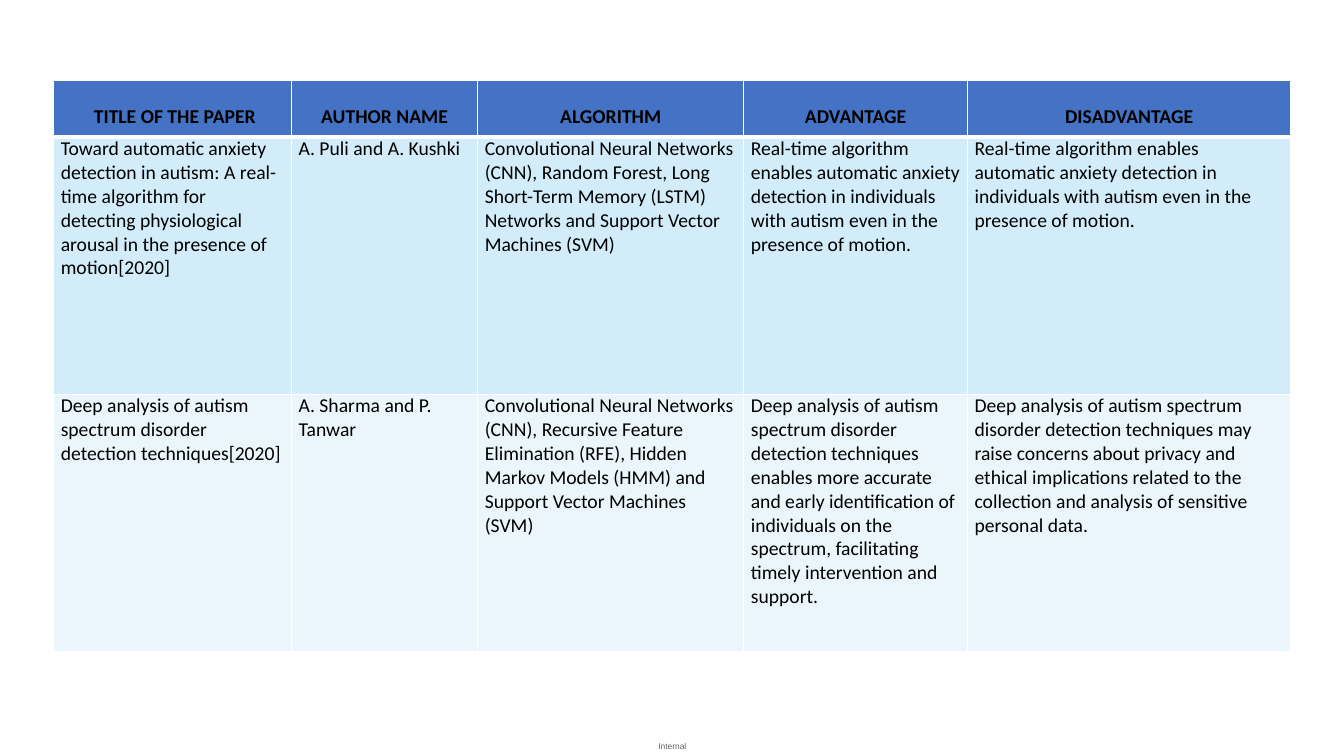
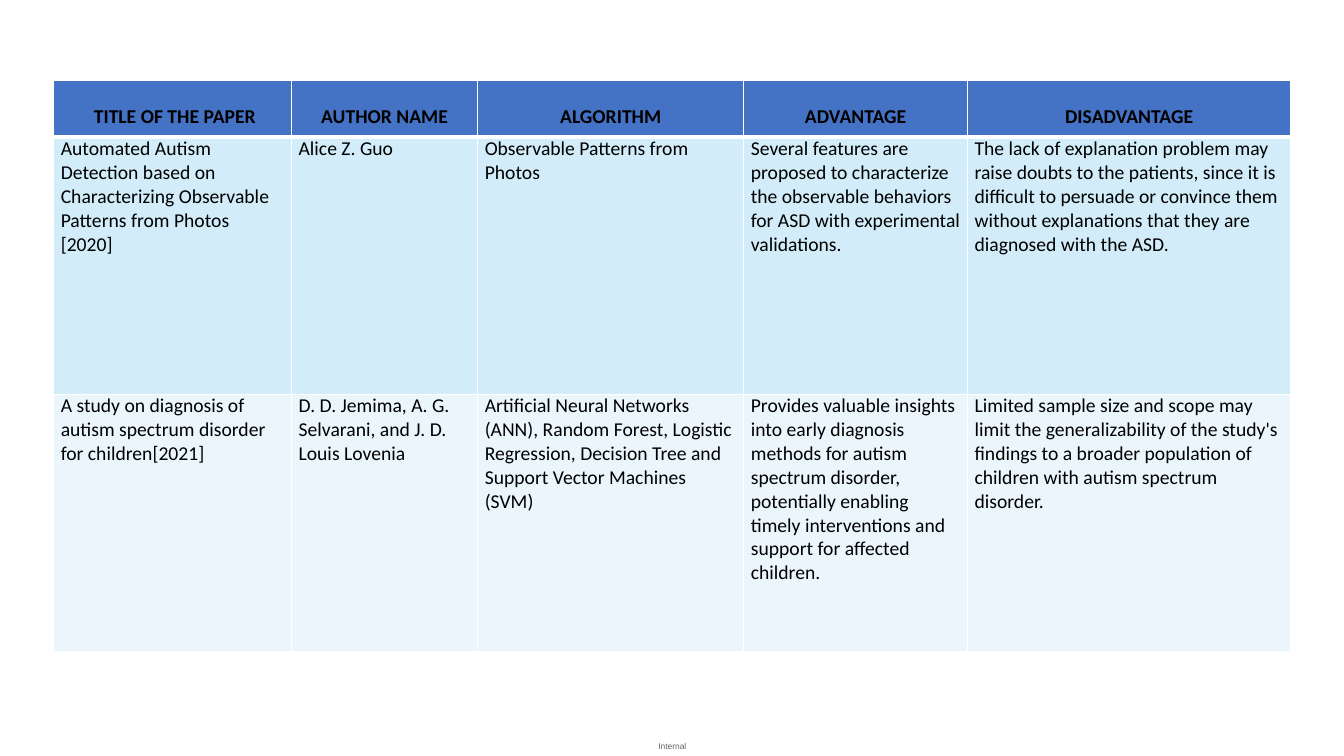
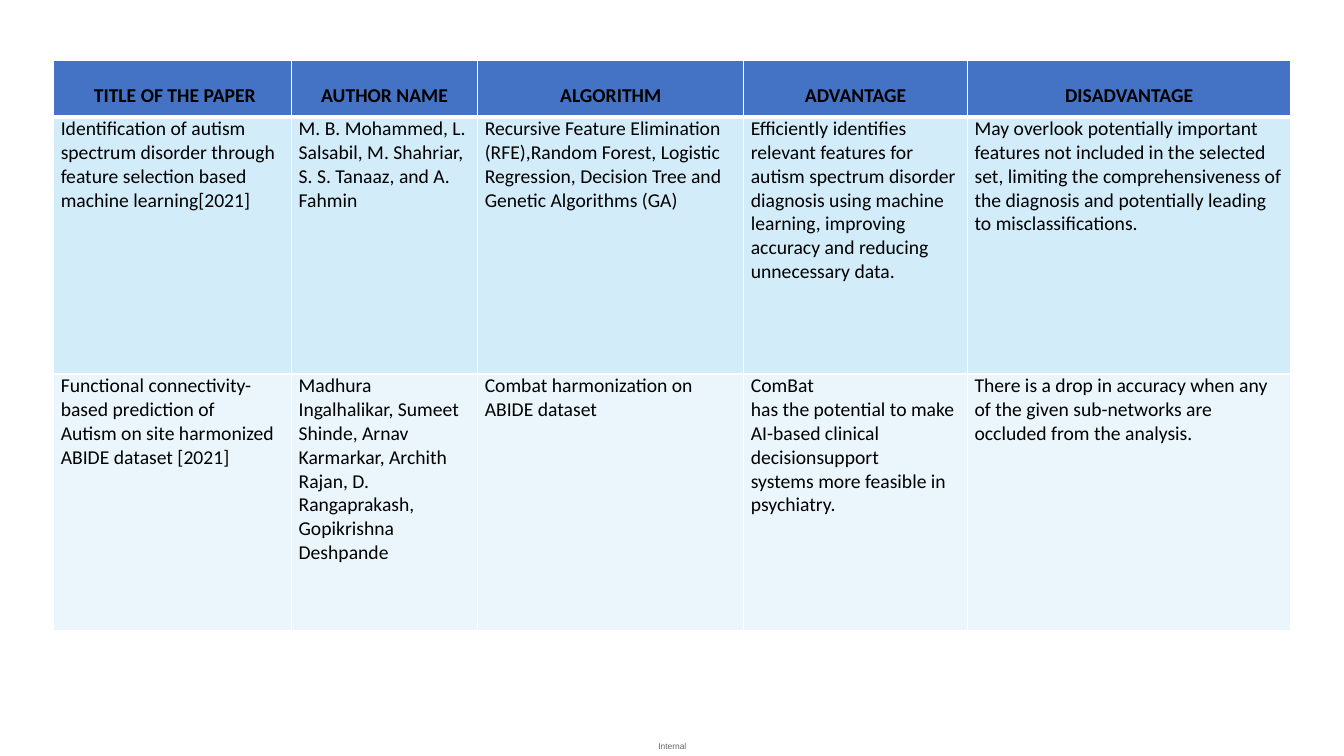
import pptx
import pptx.dml.color
import pptx.enum.text
import pptx.oxml.ns
import pptx.util
import lxml.etree

COLORS = {
    "header": "4472C4",
    "first": "D2ECF9",
    "second": "EAF6FC",
    "border": "FFFFFF",
    "text": "000000",
    "footer": "626469",
}
HEADINGS = [" TITLE OF THE PAPER", "AUTHOR NAME", "ALGORITHM", "ADVANTAGE", "DISADVANTAGE"]
COLUMN_WIDTHS = [17.7, 13.85, 19.8, 16.65, 24.05]
ROW_HEIGHTS = [5.6, 25.5, 25.5]
ROW_FILLS = ["header", "first", "second"]
CENTER = pptx.enum.text.PP_ALIGN.CENTER
LEFT = pptx.enum.text.PP_ALIGN.LEFT


class SurveyDeck:
    columns = 100
    rows = 75

    def __init__(self):
        self.deck = pptx.Presentation()
        self.deck.slide_width = pptx.util.Inches(13.33)
        self.deck.slide_height = pptx.util.Inches(7.5)
        self.page = None

    def across(self, count):
        return round(self.deck.slide_width * count / self.columns)

    def down(self, count):
        return round(self.deck.slide_height * count / self.rows)

    def color(self, name):
        return pptx.dml.color.RGBColor.from_string(COLORS[name])

    def add_page(self):
        self.page = self.deck.slides.add_slide(self.deck.slide_layouts[6])
        self.footer("Internal")

    def add_text(self, frame, text, size, font, color, bold=False, align=LEFT, spacing=None):
        for index, line in enumerate(text.split("\n")):
            para = frame.add_paragraph() if index else frame.paragraphs[0]
            para.alignment = align
            para.line_spacing = spacing
            span = para.add_run()
            span.text = line
            span.font.size = pptx.util.Pt(size)
            span.font.name = font
            span.font.bold = bold
            span.font.color.rgb = self.color(color)

    def footer(self, text):
        box = self.page.shapes.add_textbox(
            self.across(48.15), self.down(73), self.across(3.75), self.down(2))
        frame = box.text_frame
        frame.word_wrap = True
        frame.vertical_anchor = pptx.enum.text.MSO_ANCHOR.MIDDLE
        frame.margin_left = frame.margin_right = 0
        frame.margin_top = frame.margin_bottom = 0
        self.add_text(frame, text, 6, "Arial", "footer", align=CENTER)

    def border(self, cell, side, points):
        name = pptx.oxml.ns.qn
        properties = cell._tc.get_or_add_tcPr()
        line = lxml.etree.SubElement(properties, name("a:ln" + side))
        line.set("w", str(pptx.util.Pt(points)))
        fill = lxml.etree.SubElement(line, name("a:solidFill"))
        lxml.etree.SubElement(fill, name("a:srgbClr")).set("val", COLORS["border"])

    def cell(self, cell, text, row):
        header = row == 0
        cell.margin_left = cell.margin_right = pptx.util.Inches(0.07)
        cell.margin_top = cell.margin_bottom = 0
        widths = {"L": 1, "R": 1, "T": 3 if row == 1 else 1, "B": 3 if header else 1}
        for side, points in widths.items():
            self.border(cell, side, points)
        cell.fill.solid()
        cell.fill.fore_color.rgb = self.color(ROW_FILLS[row])
        self.add_text(cell.text_frame, text, 14, "Calibri", "text", bold=header,
                      align=CENTER if header else LEFT, spacing=2.0 if header else None)

    def table(self, top, papers):
        content = [HEADINGS, *papers]
        frame = self.page.shapes.add_table(
            len(content), len(HEADINGS), self.across(4), self.down(top),
            self.across(sum(COLUMN_WIDTHS)), self.down(sum(ROW_HEIGHTS)))
        table = frame.table
        table.horz_banding = False
        for column, width in zip(table.columns, COLUMN_WIDTHS):
            column.width = self.across(width)
        for row, height in zip(table.rows, ROW_HEIGHTS):
            row.height = self.down(height)
        for row, texts in enumerate(content):
            for column, text in enumerate(texts):
                self.cell(table.cell(row, column), text, row)


SURVEY = [
    (8, [
        ["Toward automatic anxiety detection in autism: A real-time algorithm for detecting "
         "physiological arousal in the presence of motion[2020]",
         "A. Puli and A. Kushki",
         "Convolutional Neural Networks (CNN), Random Forest, Long Short-Term Memory (LSTM) "
         "Networks and Support Vector Machines (SVM)",
         *["Real-time algorithm enables automatic anxiety detection in individuals with autism "
           "even in the presence of motion."] * 2],
        ["Deep analysis of autism spectrum disorder detection techniques[2020]",
         "A. Sharma and P. Tanwar",
         "Convolutional Neural Networks (CNN), Recursive Feature Elimination (RFE), Hidden "
         "Markov Models (HMM) and Support Vector Machines (SVM)",
         "Deep analysis of autism spectrum disorder detection techniques enables more accurate "
         "and early identification of individuals on the spectrum, facilitating timely "
         "intervention and support.",
         "Deep analysis of autism spectrum disorder detection techniques may raise concerns "
         "about privacy and ethical implications related to the collection and analysis of "
         "sensitive personal data."],
    ]),
    (8, [
        ["Automated Autism Detection based on Characterizing Observable Patterns from Photos "
         "[2020]",
         "Alice Z. Guo",
         "Observable Patterns from Photos",
         "Several features are proposed to characterize the observable behaviors for ASD with "
         "experimental validations.",
         "The lack of explanation problem may raise doubts to the patients, since it is "
         "difficult to persuade or convince them without explanations that they are diagnosed "
         "with the ASD."],
        ["A study on diagnosis of autism spectrum disorder for children[2021]",
         "D. D. Jemima, A. G. Selvarani, and J. D. Louis Lovenia",
         "Artificial Neural Networks (ANN), Random Forest, Logistic Regression, Decision Tree "
         "and Support Vector Machines (SVM)",
         "Provides valuable insights into early diagnosis methods for autism spectrum disorder, "
         "potentially enabling timely interventions and support for affected children.",
         "Limited sample size and scope may limit the generalizability of the study's findings "
         "to a broader population of children with autism spectrum disorder."],
    ]),
    (6, [
        ["Identification of autism spectrum disorder through feature selection based machine "
         "learning[2021]",
         "M. B. Mohammed, L. Salsabil, M. Shahriar, S. S. Tanaaz, and A. Fahmin",
         "Recursive Feature Elimination (RFE),Random Forest, Logistic Regression, Decision Tree "
         "and Genetic Algorithms (GA)",
         "Efficiently identifies relevant features for autism spectrum disorder diagnosis using "
         "machine learning, improving accuracy and reducing unnecessary data.",
         "May overlook potentially important features not included in the selected set, "
         "limiting the comprehensiveness of the diagnosis and potentially leading to "
         "misclassifications."],
        ["Functional connectivity-based prediction of\n"
         "Autism on site harmonized ABIDE dataset [2021]",
         "Madhura Ingalhalikar, Sumeet Shinde, Arnav Karmarkar, Archith Rajan, D. "
         "Rangaprakash,\nGopikrishna Deshpande",
         "Combat harmonization on ABIDE dataset",
         "ComBat\nhas the potential to make AI-based clinical decisionsupport\n"
         "systems more feasible in psychiatry.",
         "There is a drop in accuracy when any of the given sub-networks are occluded from the "
         "analysis."],
    ]),
]


def main():
    survey = SurveyDeck()
    for top, papers in SURVEY:
        survey.add_page()
        survey.table(top, papers)
    survey.deck.save("out.pptx")


if __name__ == "__main__":
    main()
